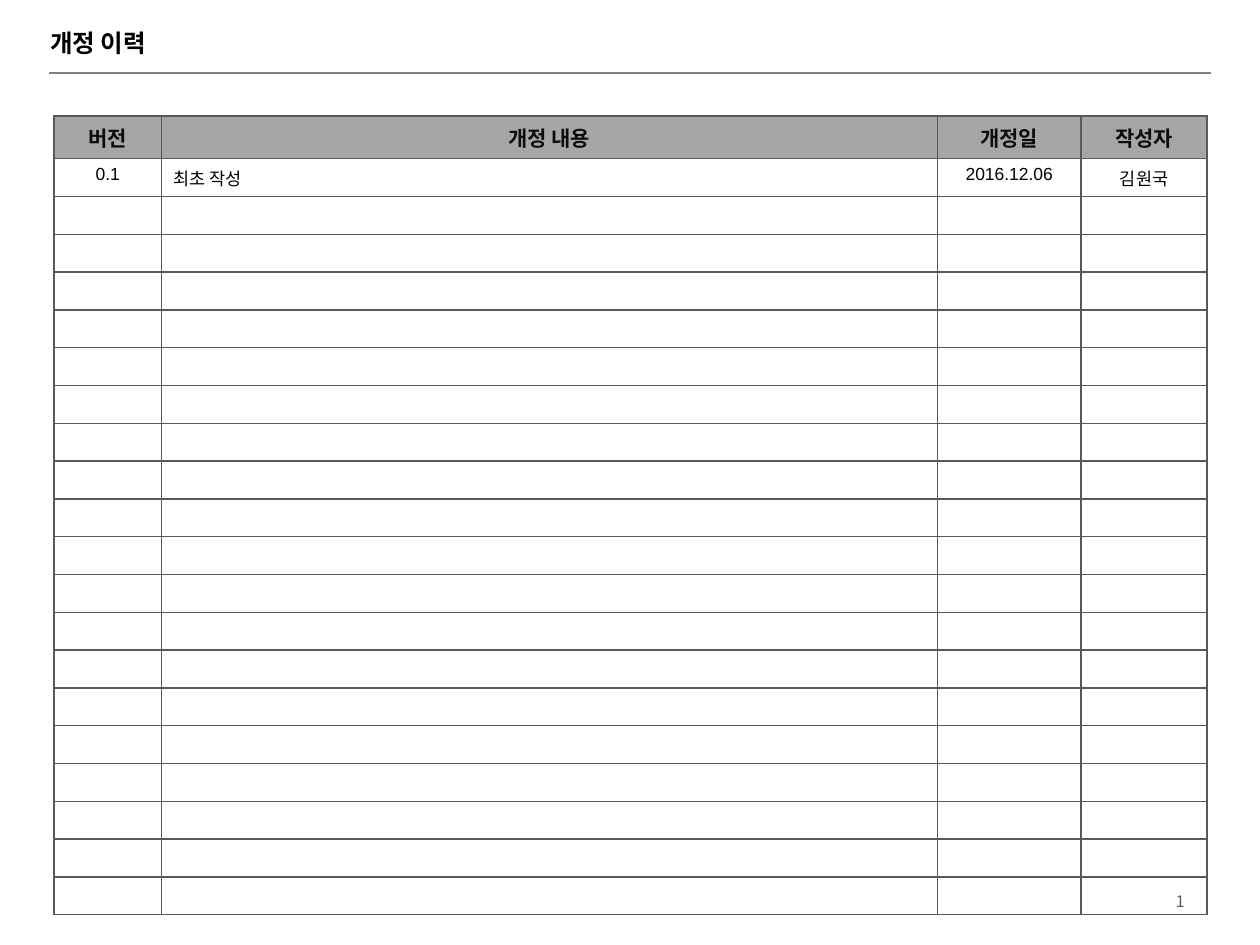
from typing import NamedTuple

from lxml.etree import SubElement
from pptx import Presentation
from pptx.dml.color import RGBColor
from pptx.enum.text import MSO_ANCHOR as Anchor, PP_ALIGN as Align
from pptx.oxml.ns import qn
from pptx.util import Inches, Pt

KOREAN = "Noto Sans CJK KR"
LATIN = "Arial"
ROWS = 20


class Style(NamedTuple):
    size: float
    color: str
    font: str = LATIN
    bold: bool = False
    align: Align = Align.LEFT


class Label(NamedTuple):
    text: str
    left: float
    top: float
    width: float
    height: float
    style: Style


class Column(NamedTuple):
    head: str
    width: float
    first: str
    align: Align = Align.CENTER


HEAD = Style(12, "0D0D0D", bold=True, align=Align.CENTER)
BODY = Style(10, "000000")
LABELS = [
    Label("개정 이력", 0.3, 0.16, 9.11, 0.36, Style(14, "000000", KOREAN, True)),
    Label("1", 7.17, 6.95, 2.33, 0.4, Style(9, "595959", KOREAN, align=Align.RIGHT)),
]
COLUMNS = [
    Column("버전", 0.85, "0.1"),
    Column("개정 내용", 6.16, "최초 작성", Align.LEFT),
    Column("개정일", 1.14, "2016.12.06"),
    Column("작성자", 1, "김원국"),
]


def rgb(code: str) -> RGBColor:
    return RGBColor.from_string(code)


def write(frame, text: str, style: Style) -> None:
    para = frame.paragraphs[0]
    para.text = text
    para.alignment = style.align
    for run in para.runs:
        font = run.font
        font.size, font.bold, font.name = Pt(style.size), style.bold, style.font
        font.color.rgb = rgb(style.color)
        SubElement(run._r.get_or_add_rPr(), qn("a:ea"), typeface=KOREAN)
    if not text:
        # An empty cell keeps its text size in the end mark
        SubElement(para._p, qn("a:endParaRPr"), sz=str(int(style.size * 100)))


def add_label(slide, label: Label) -> None:
    box = slide.shapes.add_textbox(*(Inches(n) for n in label[1:5]))
    frame = box.text_frame
    frame.word_wrap = True
    frame.vertical_anchor = Anchor.MIDDLE
    write(frame, label.text, label.style)


def add_rule(slide) -> None:
    line = slide.shapes.add_connector(
        1, Inches(0.39), Inches(0.58), Inches(9.61), Inches(0.58))
    line.line.color.rgb = rgb("808080")
    line.line.width = Pt(1)
    SubElement(line._element.spPr, qn("a:effectLst"))


def set_border(cell, color: str, width: float) -> None:
    props = cell._tc.get_or_add_tcPr()
    for pos, side in enumerate(("lnL", "lnR", "lnT", "lnB")):
        edge = props.makeelement(qn(f"a:{side}"), {"w": str(Pt(width))})
        fill = SubElement(edge, qn("a:solidFill"))
        SubElement(fill, qn("a:srgbClr"), val=color)
        props.insert(pos, edge)


def fill_cell(cell, text: str, style: Style, fill: str = "") -> None:
    write(cell.text_frame, text, style)
    if fill:
        cell.fill.solid()
        cell.fill.fore_color.rgb = rgb(fill)
    else:
        cell.fill.background()
    set_border(cell, "595959", 1)


def add_history(slide) -> None:
    width = sum(col.width for col in COLUMNS)
    table = slide.shapes.add_table(
        ROWS + 1, len(COLUMNS), Inches(0.43), Inches(0.92),
        Inches(width), Inches(0.34 + 0.3 * ROWS)).table
    table.horz_banding = False
    for num, row in enumerate(table.rows):
        row.height = Inches(0.3 if num else 0.34)
    for pos, col in enumerate(COLUMNS):
        table.columns[pos].width = Inches(col.width)
        fill_cell(table.cell(0, pos), col.head, HEAD, "A6A6A6")
        style = BODY._replace(align=col.align)
        for num in range(1, ROWS + 1):
            fill_cell(table.cell(num, pos), col.first if num == 1 else "", style)


def main() -> None:
    deck = Presentation()
    deck.slide_width, deck.slide_height = Inches(10), Inches(7.5)
    slide = deck.slides.add_slide(deck.slide_layouts[6])

    # Title, rule and page number
    add_rule(slide)
    for label in LABELS:
        add_label(slide, label)

    # Revision table
    add_history(slide)
    deck.save("out.pptx")


if __name__ == "__main__":
    main()
